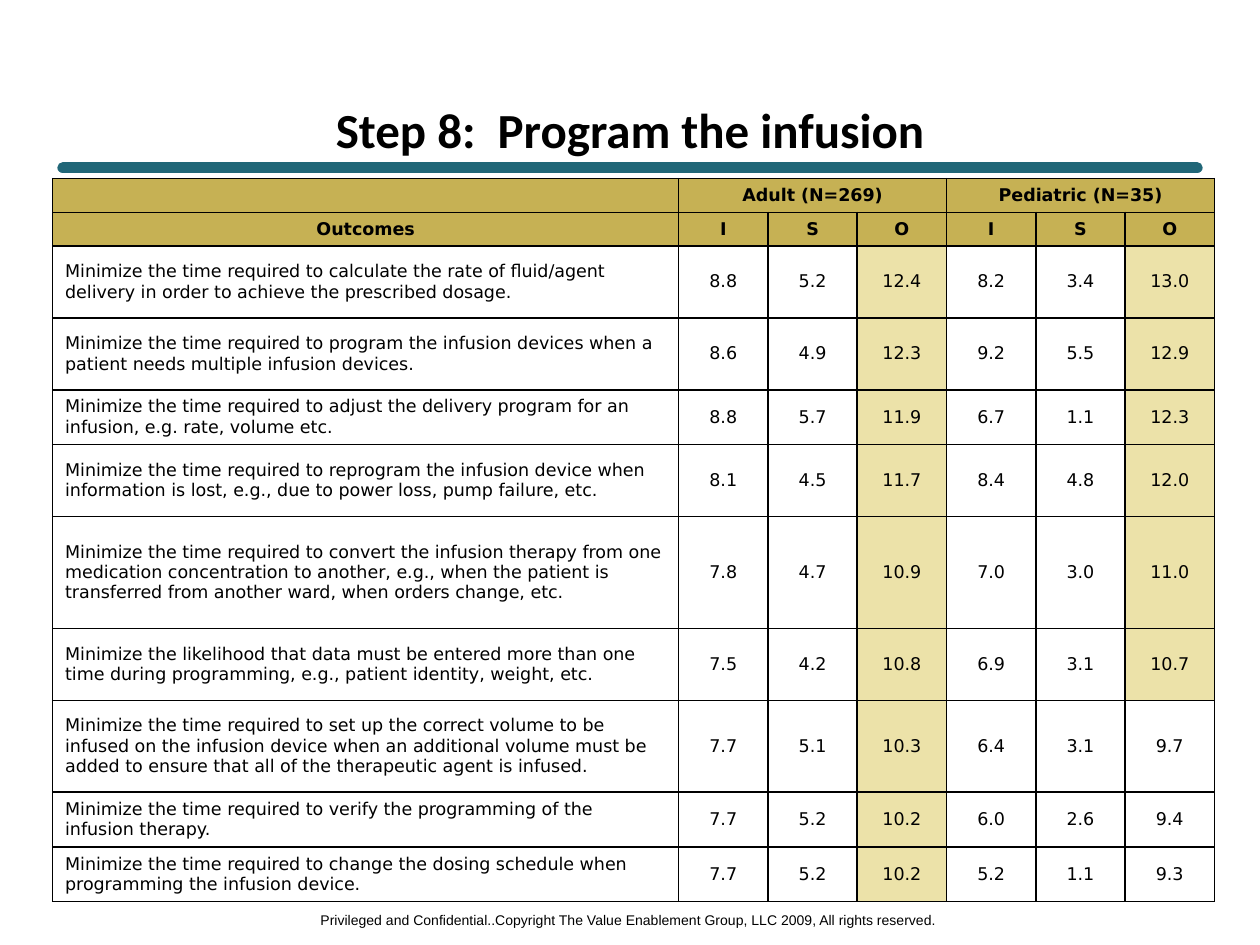
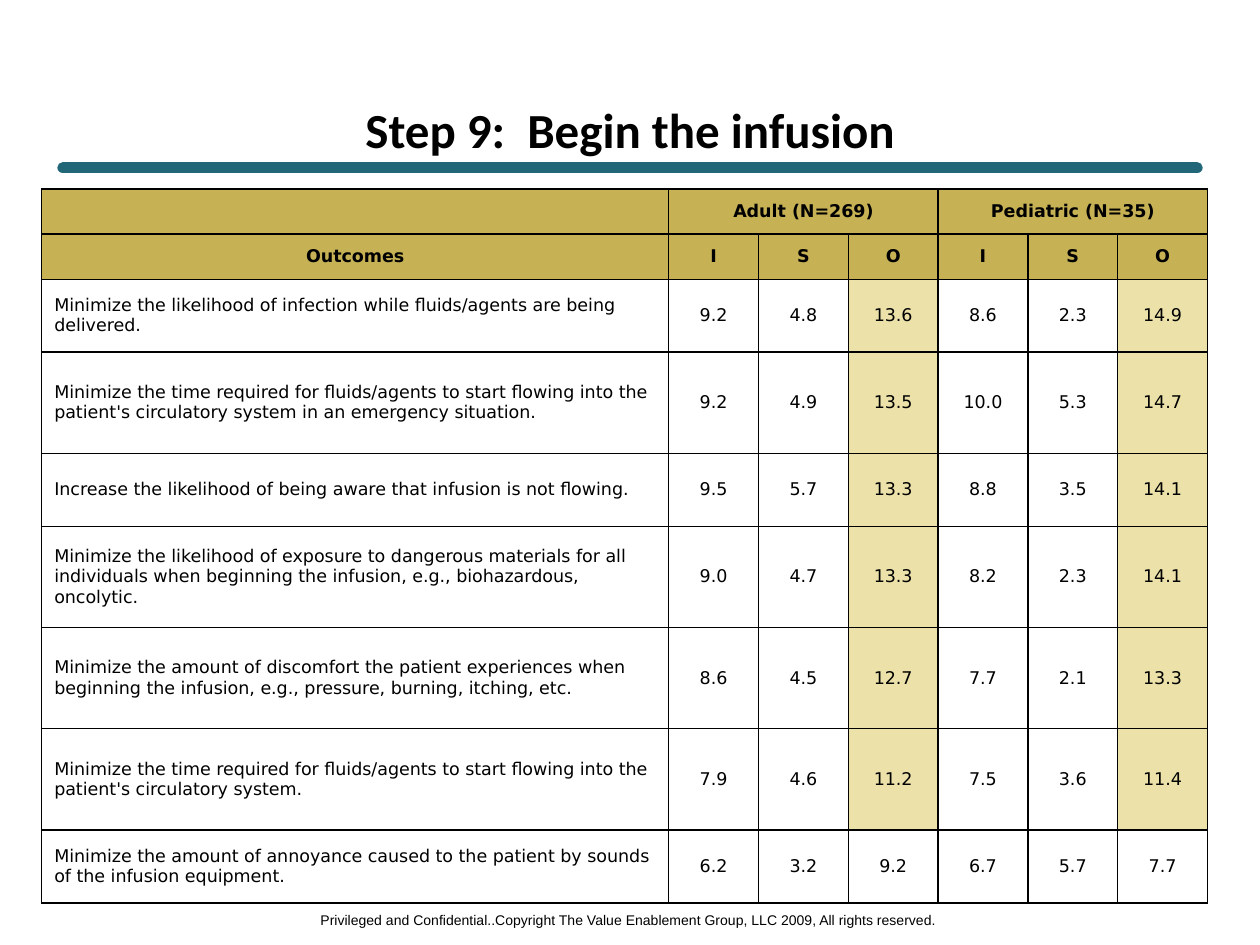
from dataclasses import dataclass

from lxml import etree
from pptx import Presentation
from pptx import util as u
from pptx.dml import color
from pptx.enum import shapes, text
from pptx.oxml import ns

HUES = {
    "ink": "000000",
    "bar": "216778",
    "head": "C6B154",
    "high": "ECE2A9",
}
FOOT = ("Privileged and Confidential..Copyright The Value Enablement Group, "
        "LLC 2009, All rights reserved.")
GROUPS = ("Adult (N=269)", "Pediatric (N=35)")
MARKS = ("I", "S", "O")
LIMIT = 10  # opportunity scores from here on are tinted

TITLE = {"name": "Calibri", "size": u.Pt(28), "bold": True}
SMALL = {"name": "Arial", "size": u.Pt(8), "bold": False}
BODY = {"name": "DejaVu Sans", "size": u.Pt(10), "bold": False}
HEAD = {**BODY, "bold": True}
MID = {"vertical_anchor": text.MSO_ANCHOR.MIDDLE}


@dataclass
class Row:
    goal: str
    adult: tuple[float, float, float]
    child: tuple[float, float, float]
    high: float  # cm


@dataclass
class Page:
    title: str
    left: float  # cm, as are the lengths below
    top: float
    wide: float
    slim: float
    head: float
    rows: list[Row]


PAGES = [
    Page("Step 8:  Program the infusion", 1.06, 3.6, 12.62, 1.8, 0.66, [
        Row("Minimize the time required to calculate the rate of fluid/agent "
            "delivery in order to achieve the prescribed dosage.",
            (8.8, 5.2, 12.4), (8.2, 3.4, 13.0), 1.45),
        Row("Minimize the time required to program the infusion devices when "
            "a patient needs multiple infusion devices.",
            (8.6, 4.9, 12.3), (9.2, 5.5, 12.9), 1.45),
        Row("Minimize the time required to adjust the delivery program for an "
            "infusion, e.g. rate, volume etc.",
            (8.8, 5.7, 11.9), (6.7, 1.1, 12.3), 1.04),
        Row("Minimize the time required to reprogram the infusion device when "
            "information is lost, e.g., due to power loss, pump failure, etc.",
            (8.1, 4.5, 11.7), (8.4, 4.8, 12.0), 1.45),
        Row("Minimize the time required to convert the infusion therapy from "
            "one medication concentration to another, e.g., when the patient "
            "is transferred from another ward, when orders change, etc.",
            (7.8, 4.7, 10.9), (7.0, 3.0, 11.0), 2.26),
        Row("Minimize the likelihood that data must be entered more than one "
            "time during programming, e.g., patient identity, weight, etc.",
            (7.5, 4.2, 10.8), (6.9, 3.1, 10.7), 1.45),
        Row("Minimize the time required to set up the correct volume to be "
            "infused on the infusion device when an additional volume must be "
            "added to ensure that all of the therapeutic agent is infused.",
            (7.7, 5.1, 10.3), (6.4, 3.1, 9.7), 1.85),
        Row("Minimize the time required to verify the programming of the "
            "infusion therapy.",
            (7.7, 5.2, 10.2), (6.0, 2.6, 9.4), 1.04),
        Row("Minimize the time required to change the dosing schedule when "
            "programming the infusion device.",
            (7.7, 5.2, 10.2), (5.2, 1.1, 9.3), 1.04),
    ]),
    Page("Step 9:  Begin the infusion", 0.84, 3.81, 12.64, 1.81, 0.91, [
        Row("Minimize the likelihood of infection while fluids/agents are "
            "being delivered.",
            (9.2, 4.8, 13.6), (8.6, 2.3, 14.9), 1.47),
        Row("Minimize the time required for fluids/agents to start flowing "
            "into the patient's circulatory system in an emergency situation.",
            (9.2, 4.9, 13.5), (10.0, 5.3, 14.7), 2.04),
        Row("Increase the likelihood of being aware that infusion is not "
            "flowing.",
            (9.5, 5.7, 13.3), (8.8, 3.5, 14.1), 1.47),
        Row("Minimize the likelihood of exposure to dangerous materials for "
            "all individuals when beginning the infusion, e.g., biohazardous, "
            "oncolytic.",
            (9.0, 4.7, 13.3), (8.2, 2.3, 14.1), 2.04),
        Row("Minimize the amount of discomfort the patient experiences when "
            "beginning the infusion, e.g., pressure, burning, itching, etc.",
            (8.6, 4.5, 12.7), (7.7, 2.1, 13.3), 2.04),
        Row("Minimize the time required for fluids/agents to start flowing "
            "into the patient's circulatory system.",
            (7.9, 4.6, 11.2), (7.5, 3.6, 11.4), 2.04),
        Row("Minimize the amount of annoyance caused to the patient by sounds "
            "of the infusion equipment.",
            (6.2, 3.2, 9.2), (6.7, 5.7, 7.7), 1.47),
    ]),
]


def hue(name: str) -> color.RGBColor:
    return color.RGBColor.from_string(HUES[name])


def apply(item, look: dict) -> None:
    for key, val in look.items():
        setattr(item, key, val)


def write(frame, words: str, look: dict, center: bool = True) -> None:
    para = frame.paragraphs[0]
    para.alignment = text.PP_ALIGN.CENTER if center else text.PP_ALIGN.LEFT
    run = para.add_run()
    run.text = words
    apply(run.font, look)
    run.font.color.rgb = hue("ink")


def edge(cell) -> None:
    """Draw a 1 pt line on each side of a cell."""
    props = cell._tc.get_or_add_tcPr()
    for side in ("lnL", "lnR", "lnT", "lnB"):
        line = etree.SubElement(props, ns.qn(f"a:{side}"), w=str(u.Pt(1)))
        fill = etree.SubElement(line, ns.qn("a:solidFill"))
        etree.SubElement(fill, ns.qn("a:srgbClr"), val=HUES["ink"])


def paint(cell, name: str | None) -> None:
    edge(cell)
    if name:
        cell.fill.solid()
        cell.fill.fore_color.rgb = hue(name)
    else:
        cell.fill.background()


def add_frame(slide, title: str) -> None:
    """Title, bar and footer shared by every slide."""
    head = slide.shapes.title
    apply(head, {"left": u.Cm(1.27), "top": u.Cm(2.11),
                 "width": u.Cm(22.86), "height": u.Cm(0.97)})
    apply(head.text_frame, {**MID, "auto_size": text.MSO_AUTO_SIZE.NONE})
    write(head.text_frame, title, TITLE)

    bar = slide.shapes.add_connector(
        shapes.MSO_CONNECTOR.STRAIGHT,
        u.Cm(1.27), u.Cm(3.38), u.Cm(24.13), u.Cm(3.38))
    bar.line.width = u.Pt(6.5)
    bar.line.color.rgb = hue("bar")
    bar.line._get_or_add_ln().set("cap", "rnd")
    etree.SubElement(bar._element.spPr, ns.qn("a:effectLst"))

    # The footer box starts below the lowest table edge
    foot = slide.shapes.add_textbox(
        u.Cm(6.12), u.Cm(18.25), u.Cm(13.11), u.Cm(0.61))
    apply(foot.text_frame, {"word_wrap": False,
                            "auto_size": text.MSO_AUTO_SIZE.SHAPE_TO_FIT_TEXT})
    write(foot.text_frame, FOOT, SMALL)


def add_scores(slide, page: Page) -> None:
    """Outcome table with one group of scores per patient type."""
    span = len(MARKS)
    cols = [page.wide] + [page.slim] * span * len(GROUPS)
    highs = [page.head] * 2 + [row.high for row in page.rows]
    grid = slide.shapes.add_table(
        len(highs), len(cols), u.Cm(page.left), u.Cm(page.top),
        u.Cm(sum(cols)), u.Cm(sum(highs))).table
    apply(grid, {"first_row": False, "horz_banding": False})
    for col, width in zip(grid.columns, cols):
        col.width = u.Cm(width)
    for line, high in zip(grid.rows, highs):
        line.height = u.Cm(high)

    # Header rows
    tops = [""]
    for name in GROUPS:
        tops += [name] + [""] * (span - 1)
    for r, names in enumerate((tops, ["Outcomes", *MARKS * len(GROUPS)])):
        for c, name in enumerate(names):
            cell = grid.cell(r, c)
            paint(cell, "head")
            apply(cell, MID)
            if name:
                write(cell.text_frame, name, HEAD)
            else:
                etree.SubElement(cell.text_frame.paragraphs[0]._p,
                                 ns.qn("a:endParaRPr"), sz="1000")
    for n in range(len(GROUPS)):
        first = 1 + n * span
        grid.cell(0, first).merge(grid.cell(0, first + span - 1))

    # Outcomes and scores
    for r, row in enumerate(page.rows, 2):
        for c, val in enumerate((row.goal, *row.adult, *row.child)):
            cell = grid.cell(r, c)
            last = c > 0 and c % span == 0
            paint(cell, "high" if last and val >= LIMIT else None)
            apply(cell, MID)
            words = f"{val:.1f}" if c else val
            write(cell.text_frame, words, BODY, center=c > 0)


def main() -> None:
    deck = Presentation()
    apply(deck, {"slide_width": u.Cm(25.4), "slide_height": u.Cm(19.05)})
    for page in PAGES:
        slide = deck.slides.add_slide(deck.slide_layouts[5])
        add_frame(slide, page.title)
        add_scores(slide, page)
    deck.save("out.pptx")


if __name__ == "__main__":
    main()
